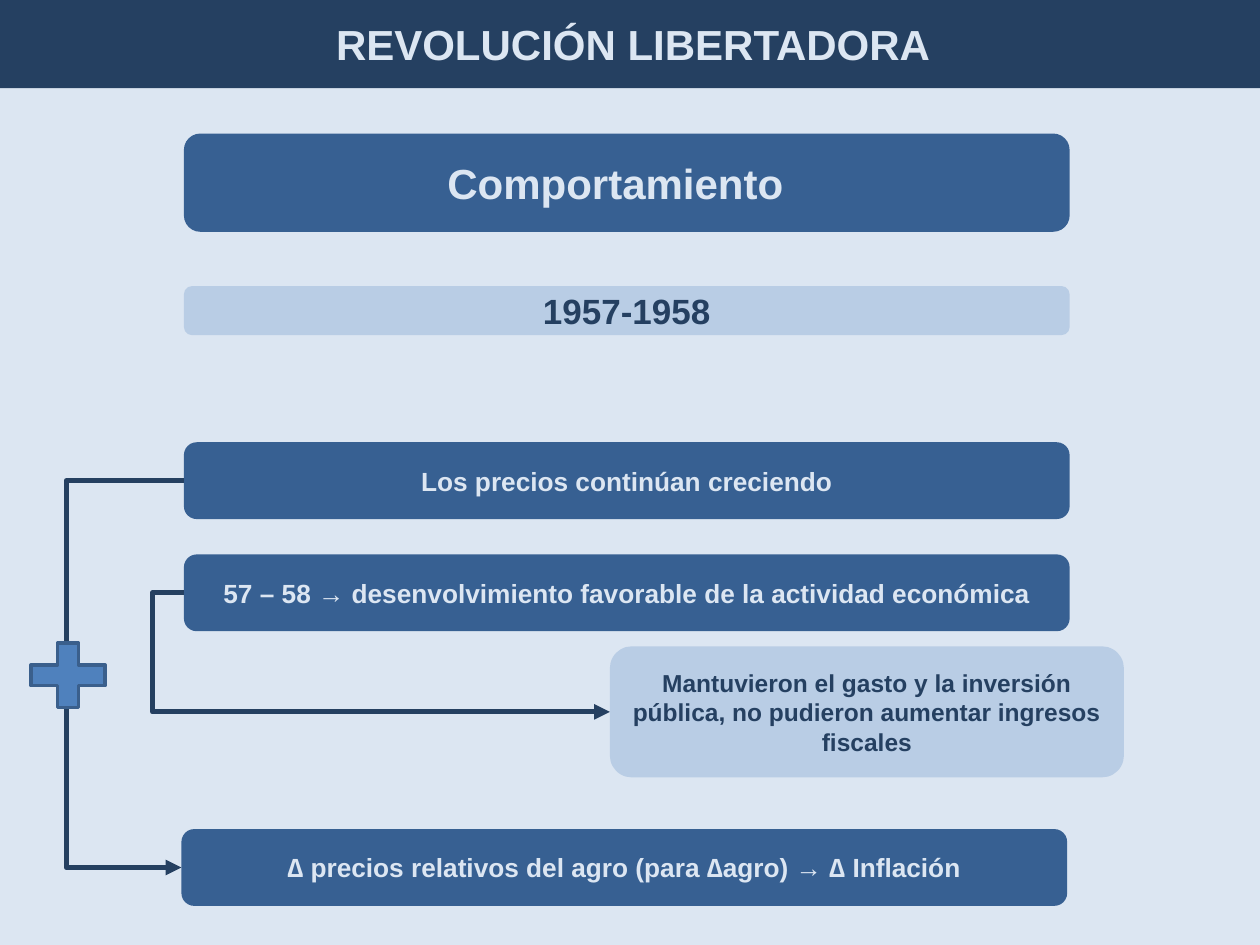
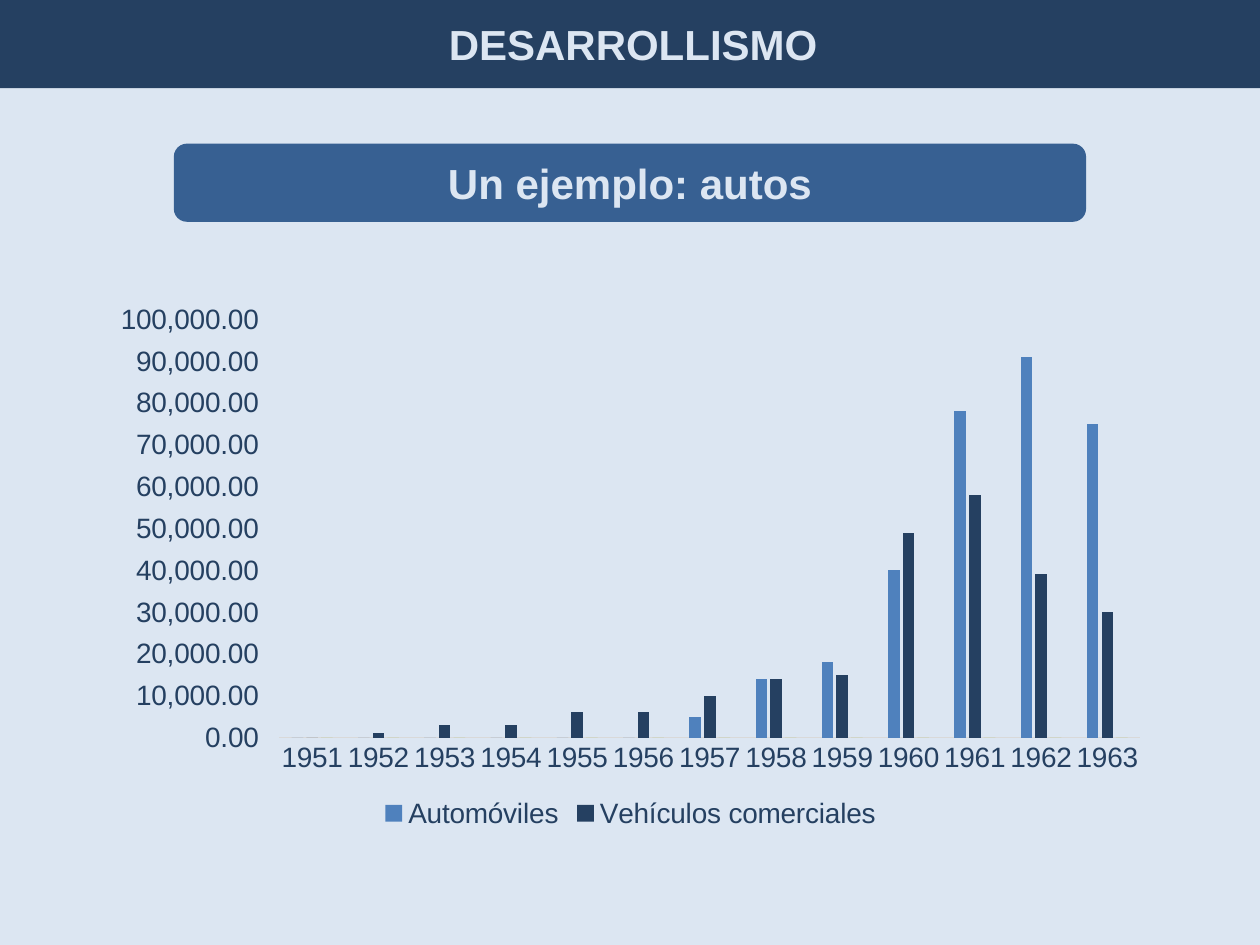
"""Build two slides on Argentine economic history: a flow of effects and a car output chart."""
from lxml.etree import SubElement
from pptx import Presentation
from pptx.chart.data import CategoryChartData
from pptx.dml.color import RGBColor
from pptx.enum.chart import XL_CHART_TYPE as ChartType, XL_LEGEND_POSITION as LegendPosition
from pptx.enum.chart import XL_TICK_MARK as TickMark
from pptx.enum.shapes import MSO_CONNECTOR as Connector, MSO_SHAPE as Shape
from pptx.enum.text import MSO_ANCHOR as Anchor, PP_ALIGN as Align
from pptx.oxml.ns import qn
from pptx.util import Inches, Pt

FONT = "Arial"
PALE = RGBColor(0xDC, 0xE6, 0xF2)
LIGHT = RGBColor(0xB9, 0xCD, 0xE5)
MEDIUM = RGBColor(0x37, 0x60, 0x92)
DARK = RGBColor(0x25, 0x40, 0x61)
BLUE = RGBColor(0x4F, 0x81, 0xBD)
OUTLINE = RGBColor(0x3A, 0x5F, 0x8C)
GREEN = RGBColor(0x9B, 0xBB, 0x59)
GREY = RGBColor(0xD9, 0xD9, 0xD9)

BOX_LEFT, BOX_WIDTH, BOX_HEIGHT = 1.46, 7.03, 0.61
YEARS = range(1951, 1964)
CAR_SERIES = [
    ("Automóviles", BLUE,
     [0, 0, 0, 0, 0, 0, 5000, 14000, 18000, 40000, 78000, 91000, 75000]),
    ("Vehículos comerciales", DARK,
     [0, 1000, 3000, 3000, 6000, 6000, 10000, 14000, 15000, 49000, 58000, 39000, 30000]),
    ("Series 3", GREEN, [0] * len(YEARS)),
]


def style_font(font, size, color, bold=False):
    """Apply the shared typeface with a size, colour and weight."""
    font.name = FONT
    font.size = Pt(size)
    font.bold = bold
    font.color.rgb = color


def fill_shape(shape, color):
    """Give a shape a plain solid fill."""
    shape.fill.solid()
    shape.fill.fore_color.rgb = color


def write_centred(shape, text, size, color):
    """Write one bold line of text in the middle of a shape."""
    frame = shape.text_frame
    frame.word_wrap = True
    frame.vertical_anchor = Anchor.MIDDLE
    paragraph = frame.paragraphs[0]
    paragraph.alignment = Align.CENTER
    run = paragraph.add_run()
    run.text = text
    style_font(run.font, size, color, bold=True)


def add_titled_slide(presentation, title):
    """Add a slide whose title fills the dark band at the top."""
    slide = presentation.slides.add_slide(presentation.slide_layouts.get_by_name("Title Only"))
    band = slide.shapes.title
    band.left, band.top, band.width, band.height = 0, 0, Inches(10.05), Inches(0.7)
    fill_shape(band, DARK)
    write_centred(band, title, 24, PALE)
    return slide


def add_box(slide, text, top, size, left=BOX_LEFT, width=BOX_WIDTH, height=BOX_HEIGHT,
            fill=MEDIUM, color=PALE):
    """Add a rounded box with centred text."""
    box = slide.shapes.add_shape(Shape.ROUNDED_RECTANGLE, Inches(left), Inches(top),
                                 Inches(width), Inches(height))
    box.shadow.inherit = False
    fill_shape(box, fill)
    box.line.fill.background()
    write_centred(box, text, size, color)
    return box


def add_elbow_arrow(slide, source, target, lane):
    """Join the left sides of two boxes by an arrow that runs down a lane at their left."""
    arrow = slide.shapes.add_connector(Connector.ELBOW, 0, 0, 0, 0)
    arrow.begin_connect(source, 1)
    arrow.end_connect(target, 1)
    arrow.line.color.rgb = DARK
    arrow.line.width = Pt(3)
    SubElement(arrow.line._get_or_add_ln(), qn("a:tailEnd"), type="triangle")
    properties = arrow._element.spPr
    SubElement(properties, qn("a:effectLst"))
    bend = (Inches(lane) - arrow.begin_x) / (arrow.end_x - arrow.begin_x)
    adjustments = properties.find(qn("a:prstGeom")).get_or_add_avLst()
    SubElement(adjustments, qn("a:gd"), name="adj1", fmla=f"val {round(bend * 100000)}")


def add_plus(slide, left, top, width, height):
    """Add an outlined plus sign."""
    plus = slide.shapes.add_shape(Shape.MATH_PLUS, Inches(left), Inches(top),
                                  Inches(width), Inches(height))
    plus.shadow.inherit = False
    fill_shape(plus, BLUE)
    plus.line.color.rgb = OUTLINE
    plus.line.width = Pt(2)


def hide_legend_entry(legend, index):
    """Leave one series out of the legend."""
    entry = legend._element.makeelement(qn("c:legendEntry"))
    SubElement(entry, qn("c:idx"), val=str(index))
    SubElement(entry, qn("c:delete"), val="1")
    legend._element.find(qn("c:legendPos")).addnext(entry)


def add_car_chart(slide):
    """Add the clustered columns of vehicle output by year."""
    data = CategoryChartData()
    data.categories = [str(year) for year in YEARS]
    for name, _, values in CAR_SERIES:
        data.add_series(name, values)
    chart = slide.shapes.add_chart(ChartType.COLUMN_CLUSTERED, Inches(0.79), Inches(2.33),
                                   Inches(8.43), Inches(4.29), data).chart
    style_font(chart.font, 16, DARK)
    chart.has_title = False

    plot = chart.plots[0]
    plot.vary_by_categories = False
    plot.gap_width = 219
    plot.overlap = -27
    for series, (_, color, _) in zip(plot.series, CAR_SERIES):
        fill_shape(series.format, color)

    for axis in (chart.category_axis, chart.value_axis):
        axis.has_major_gridlines = False
        axis.major_tick_mark = axis.minor_tick_mark = TickMark.NONE
    chart.category_axis.format.line.color.rgb = GREY
    chart.category_axis.format.line.width = Pt(0.75)
    amounts = chart.value_axis
    amounts.format.line.fill.background()
    amounts.minimum_scale, amounts.maximum_scale, amounts.major_unit = 0, 100000, 10000
    amounts.tick_labels.number_format = r"#,##0.00\ \ "
    amounts.tick_labels.number_format_is_linked = False

    chart.has_legend = True
    chart.legend.position = LegendPosition.BOTTOM
    chart.legend.include_in_layout = False
    hide_legend_entry(chart.legend, 2)


def build_revolution_slide(presentation):
    """Build the slide on the behaviour of 1957-1958."""
    slide = add_titled_slide(presentation, "REVOLUCIÓN LIBERTADORA")
    heading = add_box(slide, "Comportamiento", 1.06, 24, height=0.78)
    heading.text_frame.margin_right = Inches(0.28)
    add_box(slide, "1957-1958", 2.27, 20, height=0.39, fill=LIGHT, color=DARK)
    prices = add_box(slide, "Los precios continúan creciendo", 3.51, 15)
    activity = add_box(
        slide, "57 – 58 → desenvolvimiento favorable de la actividad económica", 4.4, 15)
    spending = add_box(
        slide, "Mantuvieron el gasto y la inversión pública, no pudieron aumentar ingresos fiscales",
        5.13, 14, left=4.84, width=4.08, height=1.04, fill=LIGHT, color=DARK)
    inflation = add_box(
        slide, "∆ precios relativos del agro (para ∆agro) → ∆ Inflación", 6.58, 15, left=1.44)
    add_elbow_arrow(slide, activity, spending, lane=1.21)
    add_elbow_arrow(slide, prices, inflation, lane=0.53)
    add_plus(slide, 0.14, 5.01, 0.8, 0.7)


def build_development_slide(presentation):
    """Build the slide on the car industry."""
    slide = add_titled_slide(presentation, "DESARROLLISMO")
    add_box(slide, "Un ejemplo: autos", 1.14, 24, left=1.38, width=7.24, height=0.62)
    add_car_chart(slide)


def main():
    """Build and save the presentation."""
    presentation = Presentation()
    presentation.slide_width, presentation.slide_height = Inches(10), Inches(7.5)
    fill_shape(presentation.slide_master.background, PALE)
    build_revolution_slide(presentation)
    build_development_slide(presentation)
    presentation.save("out.pptx")


if __name__ == "__main__":
    main()
